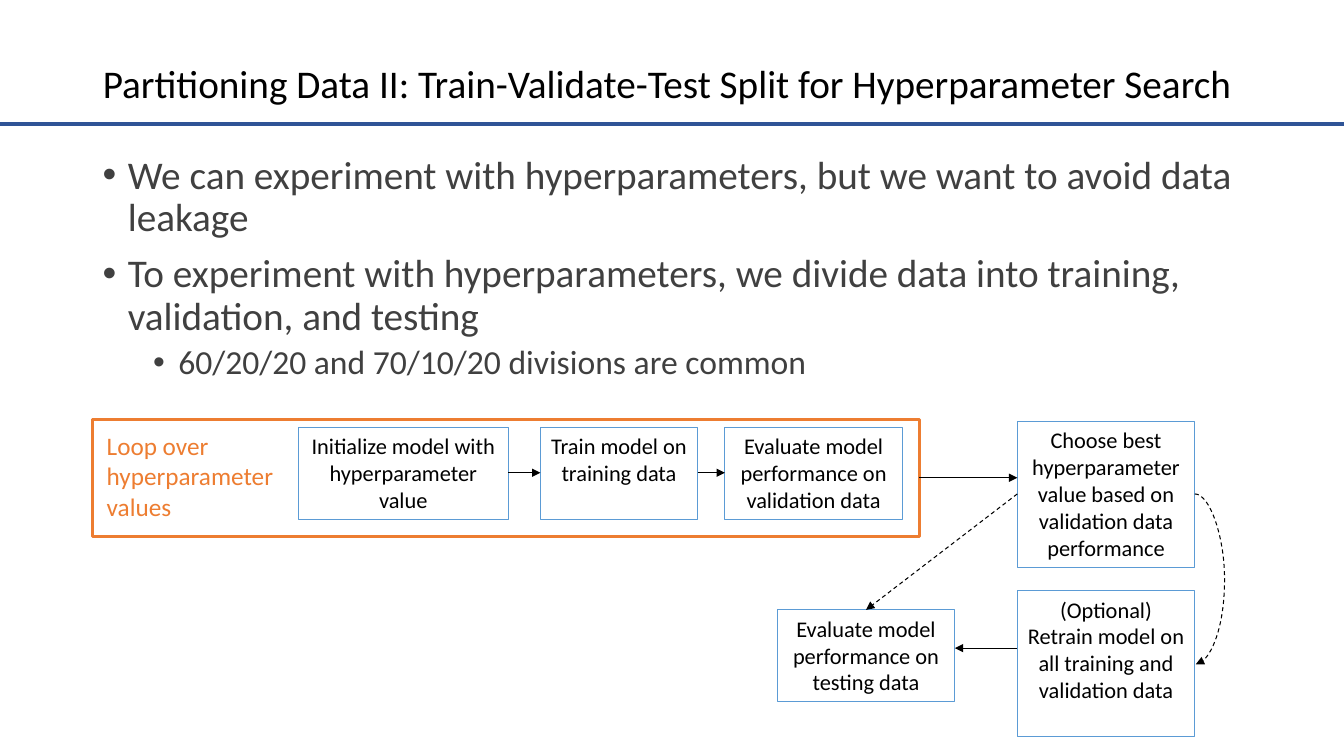
from pptx import Presentation
from pptx import util as u
from pptx.dml.color import RGBColor
from pptx.enum import dml, shapes, text
from pptx.oxml.ns import qn
from lxml import etree

PX = 9144  # 100 px to the inch
BLACK = RGBColor(0x00, 0x00, 0x00)
GREY = RGBColor(0x40, 0x40, 0x40)
NAVY = RGBColor(0x2F, 0x54, 0x96)
BLUE = RGBColor(0x5B, 0x9B, 0xD5)
ORANGE = RGBColor(0xED, 0x7D, 0x31)
STRAIGHT = shapes.MSO_CONNECTOR.STRAIGHT
CURVE = shapes.MSO_CONNECTOR.CURVE


def emu(*lengths):
    return [u.Emu(n * PX) for n in lengths]


def write(frame, words, size, color=BLACK, align=text.PP_ALIGN.LEFT,
          anchor=text.MSO_ANCHOR.TOP, spacing=None, before=0, new=False):
    """Write one paragraph into a text frame and return it."""
    frame.word_wrap = True
    frame.auto_size = text.MSO_AUTO_SIZE.NONE
    frame.vertical_anchor = anchor
    paragraph = frame.add_paragraph() if new else frame.paragraphs[0]
    paragraph.alignment = align
    paragraph.line_spacing = spacing
    paragraph.space_before = u.Pt(before)
    run = paragraph.add_run()
    run.text = words
    run.font.name = "Calibri"
    run.font.size = u.Pt(size)
    run.font.color.rgb = color
    return paragraph


def add_bullet(paragraph, margin, hanging=25):
    props = paragraph._p.get_or_add_pPr()
    props.set("marL", str(margin * PX))
    props.set("indent", str(-hanging * PX))
    etree.SubElement(props, qn("a:buFont")).set("typeface", "Arial")
    etree.SubElement(props, qn("a:buChar")).set("char", "•")


def add_box(slide, box, color, width):
    frame = slide.shapes.add_shape(shapes.MSO_SHAPE.RECTANGLE, *emu(*box))
    frame.shadow.inherit = False
    frame.fill.background()
    frame.line.color.rgb = color
    frame.line.width = u.Pt(width)
    return frame


def add_step(slide, box, words):
    step = add_box(slide, box, BLUE, 0.75)
    write(step.text_frame, words, 16, align=text.PP_ALIGN.CENTER)


def add_line(slide, start, end, color=BLACK, width=0.75, kind=STRAIGHT,
             dashed=False, arrow=True):
    line = slide.shapes.add_connector(kind, *emu(*start, *end))
    line.line.color.rgb = color
    line.line.width = u.Pt(width)
    if dashed:
        line.line.dash_style = dml.MSO_LINE.DASH
    if arrow:
        tail = etree.SubElement(line.line._get_or_add_ln(), qn("a:tailEnd"))
        tail.set("type", "triangle")
    etree.SubElement(line._element.spPr, qn("a:effectLst"))
    return line


def heading(slide, left, top, width, height):
    title = slide.shapes.title
    title.left, title.top, title.width, title.height = emu(left, top, width, height)
    write(title.text_frame,
          "Partitioning Data II: Train-Validate-Test Split for Hyperparameter Search",
          28, anchor=text.MSO_ANCHOR.MIDDLE, spacing=0.9)
    add_line(slide, (0, top + 83), (1333, top + 83), NAVY, 2.25, arrow=False)


def bullets(slide, *box):
    frame = slide.shapes.add_textbox(*emu(*box)).text_frame
    points = [
        ("We can experiment with hyperparameters, but we want to avoid data leakage", 28, 25, 0),
        ("To experiment with hyperparameters, we divide data into training, "
         "validation, and testing", 28, 25, 10),
        ("60/20/20 and 70/10/20 divisions are common", 24, 75, 5),
    ]
    for i, (words, size, margin, before) in enumerate(points):
        point = write(frame, words, size, GREY, spacing=0.9, before=before, new=i > 0)
        add_bullet(point, margin)


def search_loop(slide, left, top, width, height):
    label = slide.shapes.add_textbox(*emu(left + 4, top + 6, 189, 101))
    write(label.text_frame, "Loop over hyperparameter values", 18, ORANGE)
    add_box(slide, (left, top, width, height), ORANGE, 2.25)
    steps = [
        (204, 208, "Initialize model with hyperparameter value"),
        (444, 156, "Train model on training data"),
        (627, 176, "Evaluate model performance on validation data"),
    ]
    for x, step_width, words in steps:
        add_step(slide, (left + x, top + 8, step_width, 91), words)
    for (x, step_width, _), (next_x, _, _) in zip(steps, steps[1:]):
        add_line(slide, (left + x + step_width, top + 53), (left + next_x, top + 53))


def final_steps(slide, left, top, loop_right):
    width, height, test_height = 176, 145, 91
    right, retrain_top = left + width, top + 168
    test_left, test_top = left - 238, top + 187
    middle = top + 72
    add_step(slide, (left, top, width, height),
             "Choose best hyperparameter value based on validation data performance")
    add_step(slide, (left, retrain_top, width, height),
             "(Optional) Retrain model on all training and validation data")
    add_step(slide, (test_left, test_top, width, test_height),
             "Evaluate model performance on testing data")
    # Arrows between the steps
    add_line(slide, (loop_right, top + 56), (left, top + 56))
    add_line(slide, (left, middle), (test_left + width // 2, test_top), dashed=True)
    add_line(slide, (left, test_top + 38), (test_left + width, test_top + 38))
    bend = add_line(slide, (right, middle), (right + 1, retrain_top + 73),
                    kind=CURVE, dashed=True)
    # The curve swings 30 times its own width to the right
    guides = bend._element.spPr.find(qn("a:prstGeom")).get_or_add_avLst()
    guide = etree.SubElement(guides, qn("a:gd"))
    guide.set("name", "adj1")
    guide.set("fmla", f"val {30 * 100000}")


def main():
    deck = Presentation()
    deck.slide_width, deck.slide_height = emu(1333, 750)
    slide = deck.slides.add_slide(deck.slide_layouts[5])
    heading(slide, 92, 40, 1150, 91)
    bullets(slide, 92, 149, 1150, 526)
    search_loop(slide, 92, 416, 820, 116)
    final_steps(slide, 1009, 418, loop_right=912)
    deck.save("out.pptx")


if __name__ == "__main__":
    main()
